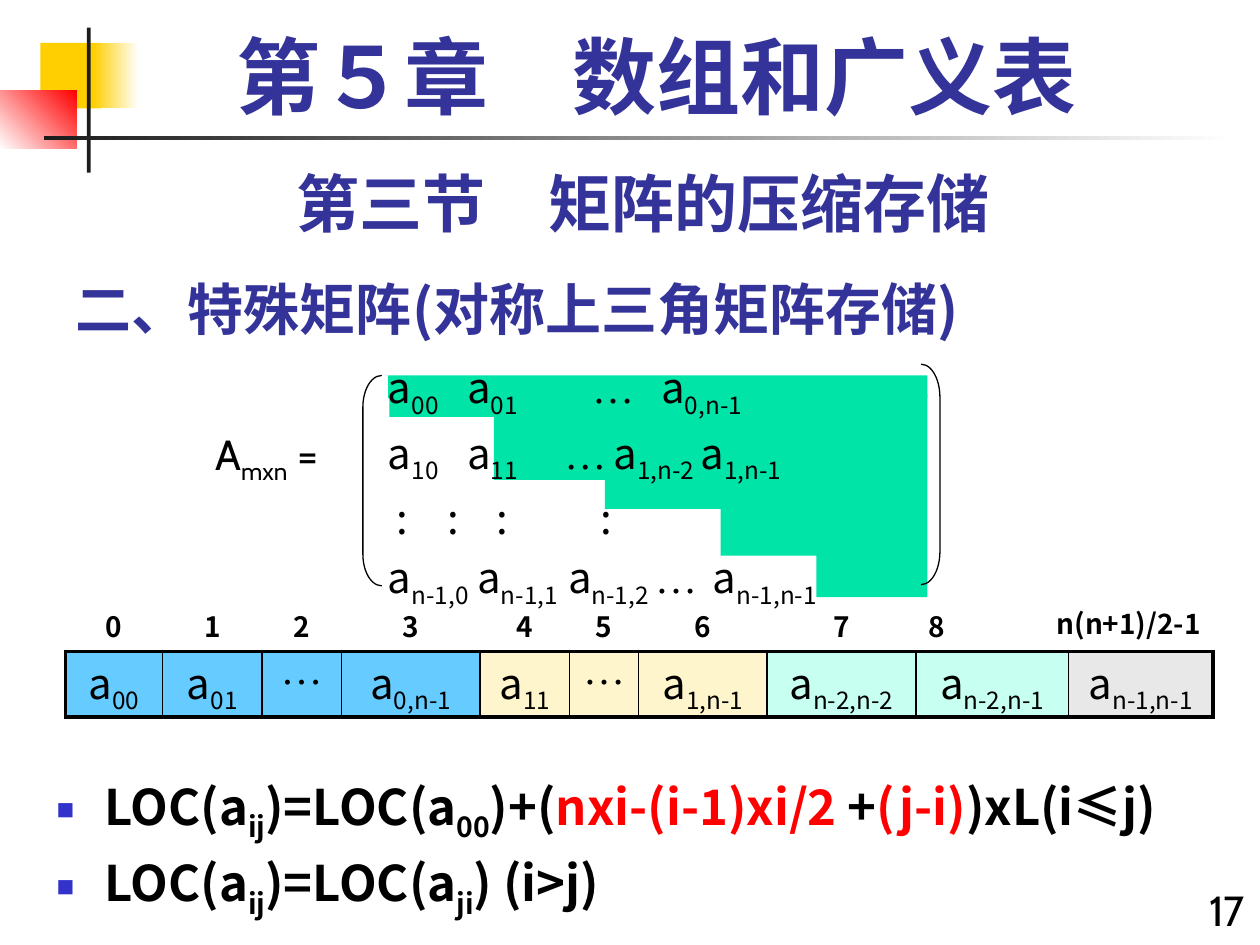
import itertools

import pptx
import pptx.dml.color
import pptx.enum.shapes
import pptx.enum.text
import pptx.oxml.ns
import pptx.util
from lxml import etree

Inches, Pt = pptx.util.Inches, pptx.util.Pt
RGB = pptx.dml.color.RGBColor
SHAPE = pptx.enum.shapes.MSO_SHAPE
ALIGN = pptx.enum.text.PP_ALIGN
ANCHOR = pptx.enum.text.MSO_ANCHOR
qn = pptx.oxml.ns.qn

BLACK, WHITE = RGB(0, 0, 0), RGB(255, 255, 255)
INK = RGB(0x1C, 0x1C, 0x1C)
NAVY = RGB(0x33, 0x33, 0x99)
BULLET = RGB(0x33, 0x33, 0xCC)
RED = RGB(0xFF, 0, 0)
YELLOW = RGB(0xFF, 0xCF, 0x01)
GREEN = RGB(0, 0xE4, 0xA8)
BLUE_ROW = RGB(0x66, 0xCC, 0xFF)
CREAM_ROW = RGB(0xFF, 0xF5, 0xCC)
MINT_ROW = RGB(0xC7, 0xFF, 0xF0)
GRAY_ROW = RGB(0xE8, 0xE8, 0xE8)

SANS, LABEL, SERIF = "Noto Sans CJK SC", "Cabin", "Times New Roman"


def child(parent, tag, **attributes):
    return etree.SubElement(parent, qn(tag), **attributes)


class SlideBuilder:
    """Holds the style, the current slide and the shapes being added to."""

    def __init__(self, presentation):
        self.slide = presentation.slides.add_slide(presentation.slide_layouts[1])
        self.shapes = self.slide.shapes

    def open_group(self):
        self.shapes = self.slide.shapes.add_group_shape().shapes

    def shape(self, kind, box, fill=None, fade=None, angle=0, line=None, adjust=None):
        shape = self.shapes.add_shape(kind, *map(Inches, box))
        shape.shadow.inherit = False
        if fade is not None:
            shape.fill.gradient()
            shape.fill.gradient_angle = angle
            for stop, color in zip(shape.fill.gradient_stops, (fill, fade)):
                stop.color.rgb = color
        elif fill is not None:
            shape.fill.solid()
            shape.fill.fore_color.rgb = fill
        else:
            shape.fill.background()
        if line:
            shape.line.color.rgb = BLACK
            shape.line.width = Pt(line)
        else:
            shape.line.fill.background()
        if adjust:
            shape.adjustments[0] = adjust

    def paragraph(self, paragraph, text, size, color=BLACK, font=SANS, bold=False,
                  align=None, before=0, spacing=None, tabs=()):
        """Text between bars is subscript, text between tildes is red."""
        if tabs:
            stops = child(paragraph._p.get_or_add_pPr(), "a:tabLst")
            for position in tabs:
                child(stops, "a:tab", pos=str(Inches(position)), algn="l")
        paragraph.font.name = font
        child(paragraph.font._element, "a:ea", typeface=SANS)
        paragraph.font.size, paragraph.font.bold = Pt(size), bold
        paragraph.font.color.rgb = color
        paragraph.alignment = align
        paragraph.space_before = Pt(before)
        if spacing:
            paragraph.line_spacing = spacing
        for i, level in enumerate(text.split("|")):
            for j, piece in enumerate(level.split("~")):
                for dots, letters in itertools.groupby(piece, lambda c: c == "…"):
                    run = paragraph.add_run()
                    run.text = "".join(letters)
                    if i % 2:
                        run.font._element.set("baseline", "-25000")
                    if j % 2:
                        run.font.color.rgb = RED
                    if dots:
                        run.font.name = SERIF

    def text(self, box, rows, size, tabs=None, before=0, **style):
        frame = self.shapes.add_textbox(*map(Inches, box)).text_frame
        frame.word_wrap = True
        self.fill_frame(frame, rows, size, tabs, before, **style)

    def fill_frame(self, frame, rows, size, tabs=None, before=0, bullet=False, **style):
        for i, row in enumerate(rows):
            paragraph = frame.add_paragraph() if i else frame.paragraphs[0]
            if bullet:
                self.bullet(paragraph)
            self.paragraph(paragraph, row, size, before=before if i else 0,
                           tabs=tabs[i] if tabs else (), **style)

    def bullet(self, paragraph):
        pPr = paragraph._p.get_or_add_pPr()
        pPr.set("marL", str(Inches(0.38)))
        pPr.set("indent", str(Inches(-0.38)))
        child(child(pPr, "a:buClr"), "a:srgbClr", val=str(BULLET))
        child(pPr, "a:buSzPct", val="60000")
        child(pPr, "a:buChar", char="■")

    def placeholder(self, index, box, rows, size, anchor, **style):
        holder = self.slide.placeholders[index]
        holder.left, holder.top, holder.width, holder.height = map(Inches, box)
        holder.text_frame.auto_size = pptx.enum.text.MSO_AUTO_SIZE.NONE
        holder.text_frame.vertical_anchor = anchor
        self.fill_frame(holder.text_frame, rows, size, **style)

    def table(self, box, widths, heights):
        table = self.shapes.add_table(len(heights), len(widths), *map(Inches, box)).table
        table.first_row = table.horz_banding = False
        for column, width in zip(table.columns, widths):
            column.width = Inches(width)
        for row, height in zip(table.rows, heights):
            row.height = Inches(height)
        return table

    def cell(self, cell, text, size, fill=None, borders=(), **style):
        cell.margin_top = cell.margin_bottom = 0
        tcPr = cell._tc.get_or_add_tcPr()
        for side, width in borders:
            line = child(tcPr, "a:ln" + side, w=str(Pt(width)))
            child(child(line, "a:solidFill"), "a:srgbClr", val=str(BLACK))
        if fill is None:
            cell.fill.background()
        else:
            cell.fill.solid()
            cell.fill.fore_color.rgb = fill
        self.paragraph(cell.text_frame.paragraphs[0], text, size, **style)


def main():
    presentation = pptx.Presentation()
    presentation.slide_width, presentation.slide_height = Inches(10), Inches(7.5)
    page = SlideBuilder(presentation)

    # Corner ornament and rule
    page.shape(SHAPE.RECTANGLE, (0.32, 0.34, 0.48, 0.52), YELLOW)
    page.shape(SHAPE.RECTANGLE, (0.74, 0.34, 0.36, 0.52), YELLOW, fade=WHITE)
    page.shape(SHAPE.RECTANGLE, (0, 0.72, 0.61, 0.46), WHITE, fade=RED, angle=45)
    page.shape(SHAPE.RECTANGLE, (0.69, 0.22, 0.03, 1.15), INK)
    page.shape(SHAPE.RECTANGLE, (0.35, 1.08, 9.45, 0.03), INK, fade=WHITE)

    # Headings, formulas and page number
    page.text((0.67, 0.24, 9.08, 0.83), ["第５章　数组和广义表"], 48,
              color=NAVY, font=SERIF, bold=True, align=ALIGN.CENTER, spacing=0.9)
    page.text((0.48, 1.26, 9.25, 0.7), ["第三节　矩阵的压缩存储"], 36,
              color=NAVY, font=LABEL, bold=True, align=ALIGN.CENTER)
    page.placeholder(0, (0.5, 2.01, 7.94, 0.75), ["二、特殊矩阵(对称上三角矩阵存储)"], 32,
                     ANCHOR.BOTTOM, color=NAVY, bold=True, align=ALIGN.LEFT)
    page.placeholder(1, (0.35, 6.11, 9.65, 1.15), [
        "LOC(a|ij|)=LOC(a|00|)+(~nxi-(i-1)xi/2 ~+~(j-i)~)xL(i≤j)",
        "LOC(a|ij|)=LOC(a|ji|) (i>j)",
    ], 28, ANCHOR.TOP, bold=True, before=5.6, bullet=True)
    page.text((9.31, 6.97, 0.67, 0.5), ["17"], 24, font=LABEL, align=ALIGN.RIGHT)

    # Storage array: index row above the stored elements
    widths = [0.77, 0.79, 0.63, 1.1, 0.71, 0.55, 1.02, 1.18, 0.24, 0.97, 1.15]
    storage = page.table((0.52, 4.83, sum(widths), 0.86), widths, [0.34, 0.52])
    storage.cell(0, 9).merge(storage.cell(0, 10))
    storage.cell(1, 8).merge(storage.cell(1, 9))
    for column in range(9):
        page.cell(storage.cell(0, column), str(column), 16, borders=[("B", 1.5)],
                  bold=True, align=ALIGN.CENTER, spacing=0.9)
    page.cell(storage.cell(0, 9), "n(n+1)/2-1", 16, borders=[("B", 1.5)],
              bold=True, align=ALIGN.RIGHT, spacing=0.8)
    elements = {
        0: ("a|00|", BLUE_ROW), 1: ("a|01|", BLUE_ROW), 2: ("…", BLUE_ROW),
        3: ("a|0,n-1|", BLUE_ROW), 4: ("a|11|", CREAM_ROW), 5: ("…", CREAM_ROW),
        6: ("a|1,n-1|", CREAM_ROW), 7: ("a|n-2,n-2|", MINT_ROW),
        8: ("a|n-2,n-1|", MINT_ROW), 10: ("a|n-1,n-1|", GRAY_ROW),
    }
    for column, (element, fill) in elements.items():
        borders = [("L", 2.25 if column == 0 else 1), ("R", 2.25 if column == 10 else 1),
                   ("T", 1.5), ("B", 2.25)]
        page.cell(storage.cell(1, column), element, 24, fill, borders,
                  align=ALIGN.CENTER, spacing=0.9)

    # Matrix with its upper triangle shaded
    page.open_group()
    for step in [(6.48, 3.13, 0.88, 1.61), (5.72, 3.14, 0.8, 1.27), (4.8, 3.16, 0.95, 0.88),
                 (3.09, 3.14, 0.83, 0.17), (3.92, 3.14, 0.93, 0.67), (3.08, 2.98, 4.28, 0.18)]:
        page.shape(SHAPE.RECTANGLE, step, GREEN)
    page.shape(SHAPE.LEFT_BRACKET, (2.88, 2.98, 0.15, 1.67), line=0.75, adjust=1.67)
    page.shape(SHAPE.RIGHT_BRACKET, (7.31, 2.89, 0.15, 1.75), line=0.75, adjust=1.75)
    page.text((2.98, 2.82, 4.48, 1.96), [
        "a|00|\ta|01|\t…\ta|0,n-1|",
        "a|10|\ta|11|\t…\ta|1,n-2|\ta|1,n-1|",
        "\t:\t:\t:\t:",
        "a|n-1,0|\ta|n-1,1|\ta|n-1,2|\t…\ta|n-1,n-1|",
    ], 24, before=4.8, tabs=[
        (0.63, 1.62, 2.17), (0.63, 1.4, 1.79, 2.48),
        (0.07, 0.47, 0.86, 1.69), (0.71, 1.43, 2.12, 2.58),
    ])
    page.text((1.61, 3.35, 1.36, 0.5), ["A|mxn|\t="], 24, font=LABEL, tabs=[(0.65,)])

    presentation.save("out.pptx")


if __name__ == "__main__":
    main()
